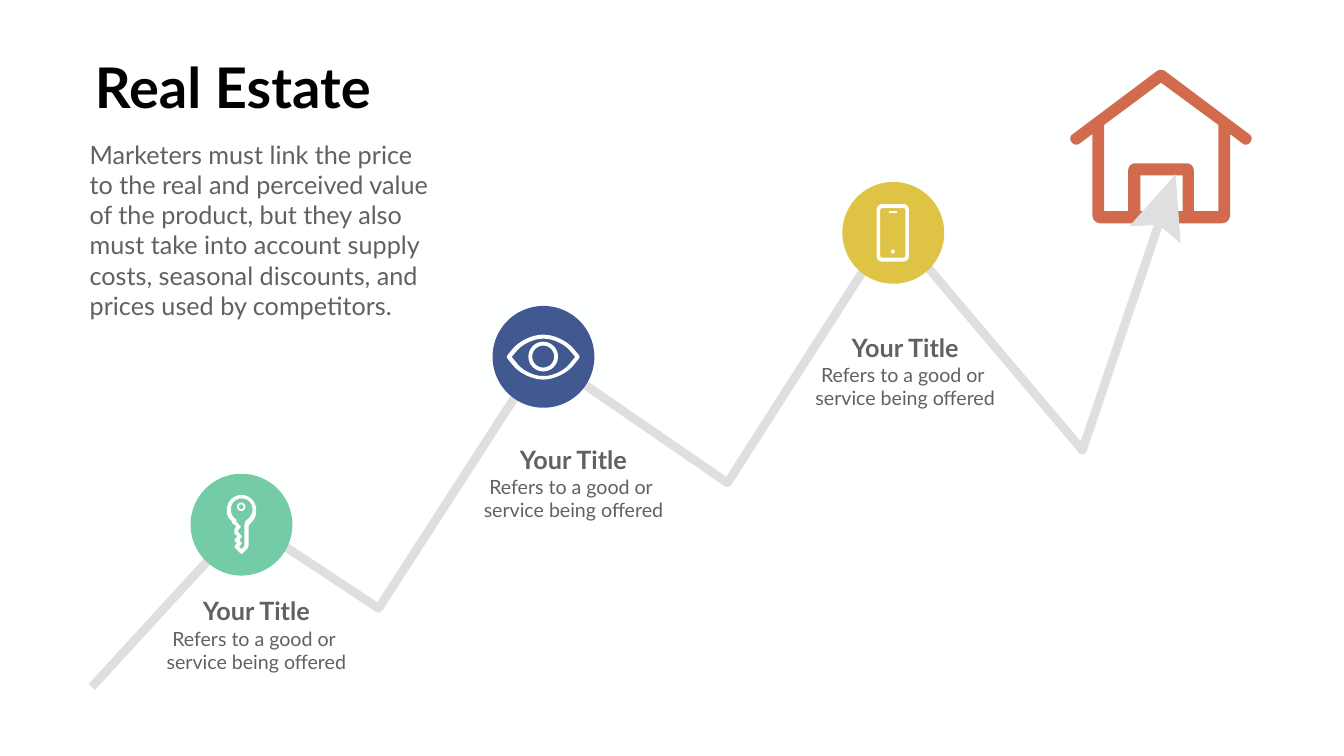
"""Build the Real Estate roadmap slide: a rising path with three milestones and a house."""
from math import dist

from lxml import etree
from pptx import Presentation
from pptx.dml.color import RGBColor
from pptx.enum.shapes import MSO_SHAPE
from pptx.enum.text import PP_ALIGN
from pptx.oxml.ns import qn
from pptx.util import Inches, Pt

OVAL, DONUT = MSO_SHAPE.OVAL, MSO_SHAPE.DONUT
PILL = MSO_SHAPE.ROUNDED_RECTANGLE
LEFT, CENTER = PP_ALIGN.LEFT, PP_ALIGN.CENTER

FONT = "Lato"
COLORS = {
    "background": "FEFFFF", "house": "D26B4E", "path": "DFDFDF", "icon": "FFFFFF",
    "key": "73CCA5", "eye": "425891", "phone": "DEC345",
    "heading": "000000", "body": "616161",
}

HEADING = "Real Estate "
INTRO = ("Marketers must link the price to the real and perceived value of the product, "
         "but they also must take into account supply costs, seasonal discounts, "
         "and prices used by competitors.")
MILESTONE_TITLE = "Your Title"
MILESTONE_TEXT = ["Refers to a good or ", "service being offered"]

MILESTONES = [
    {"color": "key", "center": (4.79, 10.41), "label": (3.84, 11.77)},
    {"color": "eye", "center": (10.78, 7.08), "label": (10.13, 8.76)},
    {"color": "phone", "center": (17.72, 4.62), "label": (16.71, 6.54)},
]
DISC = 2.02

PATH_POINTS = [(1.82, 13.63), (4.86, 10.32), (7.51, 12.07), (10.75, 7.05),
               (14.43, 9.58), (17.7, 4.47), (21.47, 8.93), (23.04, 4.28)]
ARROWHEAD = [(23.42, 4.83), (22.99, 4.46), (22.4, 4.49), (23.32, 3.46)]

HOUSE = [
    [(23.03, 1.35, 0.1), (24.87, 2.73, 0.1), (24.73, 2.91, 0.1), (24.4, 2.66),
     (24.4, 4.43, 0.16), (21.67, 4.43, 0.16), (21.67, 2.66),
     (21.33, 2.91, 0.1), (21.19, 2.73, 0.1)],
    [(23.46, 4.19), (22.62, 4.19), (22.62, 3.48), (23.46, 3.48)],
    [(24.17, 4.19), (23.68, 4.19), (23.68, 3.24, 0.14), (22.38, 3.24, 0.14),
     (22.38, 4.19), (21.9, 4.19), (21.9, 2.48), (23.03, 1.64), (24.17, 2.48)],
]
KEY = [
    [(4.5, 9.82, 0.29), (5.08, 9.82, 0.29), (5.08, 10.26, 0.1), (4.93, 10.43),
     (4.93, 10.86, 0.03), (4.79, 11, 0.03), (4.64, 10.85, 0.03), (4.7, 10.78),
     (4.64, 10.72, 0.03), (4.71, 10.64), (4.65, 10.59), (4.65, 10.5),
     (4.69, 10.44), (4.6, 10.38), (4.6, 10.34), (4.5, 10.26, 0.1)],
    [(4.58, 9.89, 0.21), (5.01, 9.89, 0.21), (5.01, 10.21, 0.1), (4.87, 10.34),
     (4.85, 10.4), (4.85, 10.83), (4.79, 10.9), (4.74, 10.84), (4.8, 10.78),
     (4.75, 10.72), (4.8, 10.64), (4.72, 10.55), (4.72, 10.53), (4.78, 10.45),
     (4.69, 10.35), (4.69, 10.31), (4.58, 10.23, 0.1)],
]
EYE = [
    [(10.04, 7.08, 0.04), (10.4, 6.64, 0.36), (11.15, 6.64, 0.36),
     (11.51, 7.08, 0.04), (11.15, 7.53, 0.36), (10.4, 7.53, 0.36)],
    [(10.15, 7.08), (10.46, 6.72, 0.3), (11.1, 6.72, 0.3),
     (11.41, 7.08), (11.1, 7.46, 0.3), (10.46, 7.46, 0.3)],
]
PHONE = [
    [(17.39, 4.05, 0.11), (18.03, 4.05, 0.11), (18.03, 5.19, 0.11), (17.39, 5.19, 0.11)],
    [(17.46, 4.13, 0.04), (17.96, 4.13, 0.04), (17.96, 5.11, 0.04), (17.46, 5.11, 0.04)],
]
ICON_PARTS = [
    (OVAL, (17.67, 4.95, 0.08, 0.08), None),
    (PILL, (17.63, 4.19, 0.17, 0.04), 0.5),
    (DONUT, (10.48, 6.78, 0.59, 0.59), 0.13),
    (DONUT, (4.7, 9.97, 0.17, 0.17), 0.22),
]


def rgb(name):
    return RGBColor.from_string(COLORS[name])


def paint(shape, color):
    shape.shadow.inherit = False
    shape.fill.solid()
    shape.fill.fore_color.rgb = rgb(color)
    shape.line.fill.background()


def add_preset(slide, kind, box, color, adjustment=None):
    shape = slide.shapes.add_shape(kind, *map(Inches, box))
    if adjustment is not None:
        shape.adjustments[0] = adjustment
    paint(shape, color)


def toward(start, end, length):
    share = length / dist(start, end)
    return tuple(a + (b - a) * share for a, b in zip(start, end))


def round_corners(vertices, steps=8):
    points = []
    for i, (x, y, *radius) in enumerate(vertices):
        corner = (x, y)
        if not radius:
            points.append(corner)
            continue
        first = toward(corner, vertices[i - 1][:2], radius[0])
        last = toward(corner, vertices[(i + 1) % len(vertices)][:2], radius[0])
        for t in (step / steps for step in range(steps + 1)):
            before = (1 - t) ** 3 + 1.35 * t * (1 - t) ** 2
            after = t ** 3 + 1.35 * t ** 2 * (1 - t)
            points.append(tuple(c + (a - c) * before + (b - c) * after
                                for a, b, c in zip(first, last, corner)))
    return points


def add_outline(slide, contours, closed=True):
    builder = None
    for contour in contours:
        start, *rest = [tuple(map(Inches, point)) for point in round_corners(contour)]
        if builder is None:
            builder = slide.shapes.build_freeform(*start, scale=1.0)
        else:
            builder.move_to(*start)
        builder.add_line_segments(rest, close=closed)
    return builder.convert_to_shape()


def add_path(slide):
    path = add_outline(slide, [PATH_POINTS], closed=False)
    path.shadow.inherit = False
    path.fill.background()
    path.line.color.rgb = rgb("path")
    path.line.width = Pt(12.5)
    etree.SubElement(path.line._get_or_add_ln(), qn("a:round"))


def add_text(slide, box, lines, *, size, color="body", bold=False, align=CENTER):
    frame = slide.shapes.add_textbox(*map(Inches, box)).text_frame
    frame.word_wrap = True
    for i, line in enumerate(lines):
        paragraph = frame.add_paragraph() if i else frame.paragraphs[0]
        paragraph.alignment = align
        run = paragraph.add_run()
        run.text = line
        run.font.name = FONT
        run.font.size = Pt(size)
        run.font.bold = bold
        run.font.color.rgb = rgb(color)


def main():
    deck = Presentation()
    deck.slide_width, deck.slide_height = Inches(26.66), Inches(15)
    slide = deck.slides.add_slide(deck.slide_layouts[6])
    slide.background.fill.solid()
    slide.background.fill.fore_color.rgb = rgb("background")

    paint(add_outline(slide, HOUSE), "house")
    add_path(slide)
    paint(add_outline(slide, [ARROWHEAD]), "path")

    for milestone in MILESTONES:
        x, y = milestone["center"]
        add_preset(slide, OVAL, (x - DISC / 2, y - DISC / 2, DISC, DISC), milestone["color"])
    for icon in (PHONE, EYE, KEY):
        paint(add_outline(slide, icon), "icon")
    for kind, box, adjustment in ICON_PARTS:
        add_preset(slide, kind, box, "icon", adjustment)

    add_text(slide, (1.69, 1, 5.86, 1.45), [HEADING], size=80, color="heading", bold=True)
    add_text(slide, (1.68, 2.71, 7.01, 3.65), [INTRO], size=36, align=LEFT)
    for milestone in MILESTONES:
        x, y = milestone["label"]
        add_text(slide, (x, y, 2.49, 0.51), [MILESTONE_TITLE], size=36, bold=True)
        add_text(slide, (x - 0.67, y + 0.61, 3.83, 1.06), MILESTONE_TEXT, size=28)

    deck.save("out.pptx")


if __name__ == "__main__":
    main()
